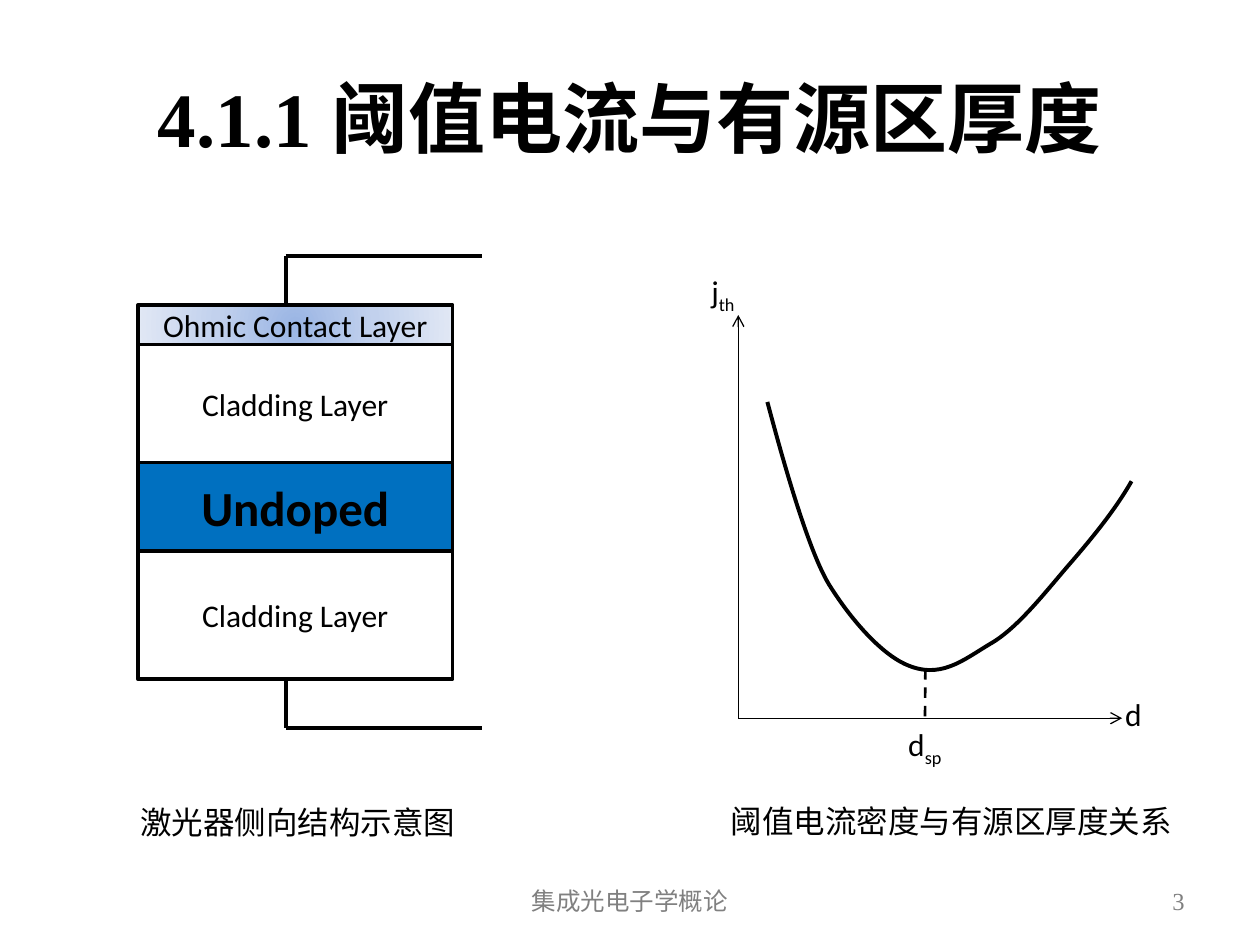
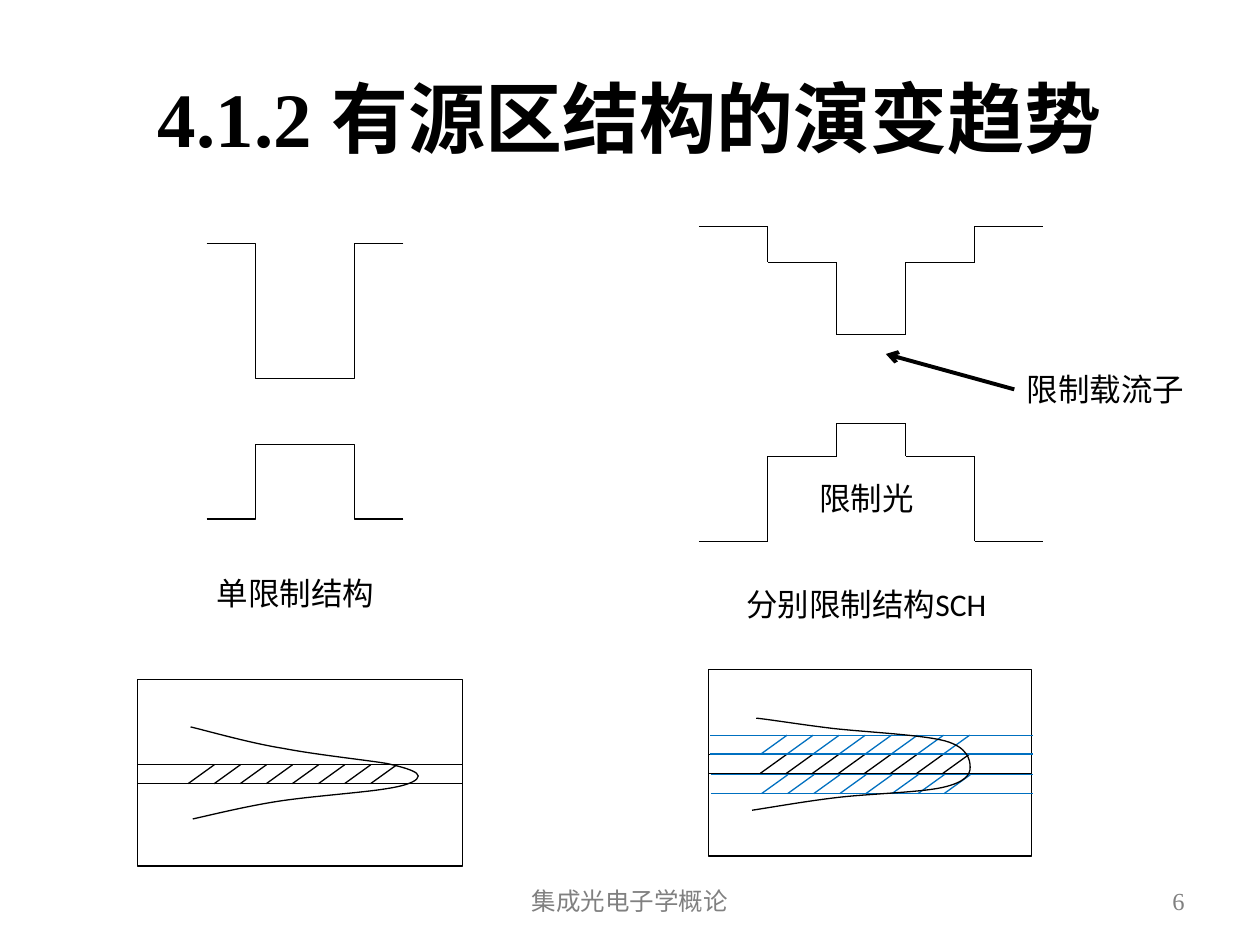
"""Build two slides on laser threshold current and active-region structure."""
from dataclasses import dataclass

from lxml import etree
from pptx import Presentation
from pptx.dml.color import RGBColor
from pptx.enum.dml import MSO_LINE
from pptx.enum.shapes import MSO_CONNECTOR, MSO_SHAPE
from pptx.enum.text import MSO_ANCHOR, PP_ALIGN
from pptx.oxml import parse_xml
from pptx.oxml.ns import nsdecls, qn
from pptx.util import Pt

LEFT, CENTER, RIGHT = PP_ALIGN.LEFT, PP_ALIGN.CENTER, PP_ALIGN.RIGHT
TOP, MIDDLE = MSO_ANCHOR.TOP, MSO_ANCHOR.MIDDLE
STRAIGHT, ELBOW = MSO_CONNECTOR.STRAIGHT, MSO_CONNECTOR.ELBOW
RECT, DASH = MSO_SHAPE.RECTANGLE, MSO_LINE.DASH


@dataclass(frozen=True)
class Theme:
    ink: RGBColor = RGBColor(0, 0, 0)
    blue: RGBColor = RGBColor(0x00, 0x70, 0xC0)
    gray: RGBColor = RGBColor(0x80, 0x80, 0x80)
    glow: tuple = ((0, "9AB5E4"), (50, "C2D1ED"), (100, "E1E8F5"))
    sans: str = "Calibri"
    serif: str = "Times New Roman"
    title: int = 44
    strong: int = 28
    body: int = 18
    footer: int = 14
    thin: float = 0.75
    dashed: float = 1.5
    frame: float = 2
    thick: float = 2.25


T = Theme()


def write(sp, runs, align=LEFT, anchor=TOP, size=T.body, color=T.ink, font=T.sans, bold=False):
    tf = sp.text_frame
    tf.word_wrap = True
    tf.vertical_anchor = anchor
    p = tf.paragraphs[0]
    p.alignment = align
    for text, attrs in runs:
        r = p.add_run()
        r.text = text
        r.font.size, r.font.name, r.font.bold = Pt(size), font, bold
        r.font.color.rgb = color
        for key, value in attrs.items():
            r._r.get_or_add_rPr().set(key, value)


def connect(s, x1, y1, x2, y2, color=T.ink, width=T.thin, kind=STRAIGHT, dash=None, arrow=False):
    c = s.shapes.add_connector(kind, Pt(x1), Pt(y1), Pt(x2), Pt(y2))
    c.line.color.rgb = color
    c.line.width = Pt(width)
    if dash:
        c.line.dash_style = dash
    spPr = c._element.spPr
    if arrow:
        etree.SubElement(spPr.find(qn("a:ln")), qn("a:tailEnd"), type="arrow")
    etree.SubElement(spPr, qn("a:effectLst"))
    return c


prs = Presentation()
prs.slide_width, prs.slide_height = Pt(720), Pt(540)

slides = []
for number, heading in (
    ("3", "4.1.1 阈值电流与有源区厚度"),
    ("6", "4.1.2 有源区结构的演变趋势"),
):
    s = prs.slides.add_slide(prs.slide_layouts[6])
    slides.append(s)
    title = s.shapes.add_textbox(Pt(36), Pt(21.6), Pt(648), Pt(90))
    write(title, [(heading, {})], CENTER, MIDDLE, T.title, font=T.serif, bold=True)
    footer = s.shapes.add_textbox(Pt(246), Pt(500.5), Pt(228), Pt(28.75))
    write(footer, [("集成光电子学概论", {})], CENTER, MIDDLE, T.footer, T.gray)
    page = s.shapes.add_textbox(Pt(516), Pt(500.5), Pt(168), Pt(28.75))
    write(page, [(number, {})], RIGHT, MIDDLE, T.footer, T.gray, T.serif)
threshold, evolution = slides

subscript = {"baseline": "-25000"}
for s, x, y, w, align, runs in (
    (threshold, 399.4, 151.9, 39.6, LEFT, [("j", {}), ("th", subscript)]),
    (threshold, 635.8, 393.8, 39.6, LEFT, [("d", {})]),
    (threshold, 511.9, 410.6, 39.6, LEFT, [("d", {}), ("sp", subscript)]),
    (threshold, 73.2, 455.4, 208, LEFT, [("激光器侧向结构示意图", {})]),
    (threshold, 410.4, 454.5, 292.3, LEFT, [("阈值电流密度与有源区厚度关系", {})]),
    (evolution, 45, 324.7, 247.7, CENTER, [("单限制结构", {})]),
    (evolution, 371.2, 330.8, 247.7, CENTER, [("分别限制结构SCH", {})]),
    (evolution, 461.2, 270, 118, LEFT, [("限制光", {})]),
    (evolution, 579.6, 208, 118, LEFT, [("限制载流子", {})]),
):
    label = s.shapes.add_textbox(Pt(x), Pt(y), Pt(w), Pt(29))
    write(label, runs, align)
carrier_label = label

y = 174.4
for name, h, size, fill in (
    ("Ohmic Contact Layer", 22.5, T.body, "glow"),
    ("Cladding Layer", 67.5, T.body, None),
    ("Undoped", 50.5, T.strong, T.blue),
    ("Cladding Layer", 73.2, T.body, None),
):
    sp = threshold.shapes.add_shape(RECT, Pt(78.75), Pt(y), Pt(180), Pt(h))
    sp.shadow.inherit = False
    if fill == "glow":
        stops = "".join(f'<a:gs pos="{pos * 1000}"><a:srgbClr val="{rgb}"/></a:gs>'
                        for pos, rgb in T.glow)
        sp._element.spPr.insert(2, parse_xml(
            f'<a:gradFill {nsdecls("a")} rotWithShape="1"><a:gsLst>{stops}</a:gsLst>'
            '<a:path path="circle"><a:fillToRect l="50000" t="50000" r="50000" b="50000"/>'
            '</a:path></a:gradFill>'))
    elif fill:
        sp.fill.solid()
        sp.fill.fore_color.rgb = fill
    else:
        sp.fill.background()
    sp.line.color.rgb = T.ink
    sp.line.width = Pt(T.frame)
    write(sp, [(name, {})], CENTER, MIDDLE, size, bold=size == T.strong)
    y += h

for y_layer, y_lead in ((174.4, 146.2), (388.1, 416.2)):
    connect(threshold, 163.2, y_layer, 163.2, y_lead, width=T.thick)
    connect(threshold, 163.2, y_lead, 275.6, y_lead, width=T.thick)

connect(threshold, 421.9, 410.4, 641.2, 410.4, arrow=True)
connect(threshold, 421.9, 410.4, 421.9, 180, arrow=True)
connect(threshold, 528.8, 382.3, 528.6, 410.4, width=T.dashed, dash=DASH)

for y_outer, y_well in ((139, 216.4), (296.6, 254.2)):
    for x_outer in (118.1, 230.6):
        connect(evolution, x_outer, y_outer, 174.35, y_well, kind=ELBOW)

step = 39.37
for levels in ((129.4, 150, 191.2, 150, 129.4), (309.4, 260.8, 241.9, 260.8, 309.4)):
    for i, level in enumerate(levels):
        x = 399.4 + i * step
        connect(evolution, x, level, x + step, level)
        if i:
            connect(evolution, x, levels[i - 1], x, level)

arrow = connect(evolution, 579.6, 222.5, 506.2, 202.3, width=T.thick, arrow=True)
arrow.begin_connect(carrier_label, 1)

for x, y, w in ((78.5, 388.3, 185.8), (405, 382.5, 184.5)):
    sp = evolution.shapes.add_shape(RECT, Pt(x), Pt(y), Pt(w), Pt(106.6))
    sp.shadow.inherit = False
    sp.fill.background()
    sp.line.color.rgb = T.ink
    sp.line.width = Pt(T.thin)

band, pitch = 10.8, 14.9
for x, y, w, color in (
    (78.5, 437, 185.8, T.ink),
    (405.4, 431.2, 184.3, T.ink),
    (406.2, 442.7, 184.2, T.blue),
    (405.8, 420.1, 184.4, T.blue),
):
    for edge in (y, y + band):
        connect(evolution, x, edge, x + w, edge, color)
    for i in range(8):
        x_hatch = x + 29 + i * pitch
        connect(evolution, x_hatch, y + band, x_hatch + 15, y, color)

for s, width, knots in (
    (threshold, T.thick, (
        (438.5, 229.7), (442.8, 245.5), (460.1, 311.8), (473.8, 334.1), (488.2, 357.1),
        (504.7, 373.7), (517, 379.4), (537.1, 388.8), (550.1, 377.3), (565.9, 367.9),
        (581, 359.3), (596.2, 339.8), (609.8, 324), (623.5, 308.2), (637.2, 291.6),
        (646.6, 275))),
    (evolution, T.thin, (
        (108.9, 415.4), (118.1, 417.6), (143.3, 424.8), (162, 427.7), (180.7, 431.3),
        (208.1, 434.2), (221, 436.3), (234, 439.2), (239, 441.4), (239, 443.5),
        (239, 445.7), (234.7, 448.6), (221, 450.7), (208.1, 452.9), (177.8, 455),
        (159.1, 457.9), (140.4, 460.8), (120.2, 465.8), (110.2, 468))),
    (evolution, T.thin, (
        (432.2, 410.4), (439.2, 411.1), (457.2, 414), (475.2, 416.2), (493.2, 418.3),
        (526.3, 419.8), (540, 423.4), (553, 427), (554.4, 434.2), (554.4, 438.5),
        (554.4, 442.8), (551.5, 447.1), (538.6, 450), (525.6, 452.9), (496.1, 453.6),
        (478.1, 455.8), (460.1, 457.9), (439.9, 461.5), (429.8, 463))),
):
    start, *rest = [(Pt(x), Pt(y)) for x, y in knots]
    builder = s.shapes.build_freeform(*start)
    builder.add_line_segments(rest, close=False)
    curve = builder.convert_to_shape()
    outline = next(curve._element.iter(qn("a:path")))
    corners = outline.findall(qn("a:lnTo"))
    for k in range(0, len(corners), 3):
        bezier = etree.SubElement(outline, qn("a:cubicBezTo"))
        for corner in corners[k:k + 3]:
            bezier.append(corner[0])
            outline.remove(corner)
    curve.shadow.inherit = False
    curve.fill.background()
    curve.line.color.rgb = T.ink
    curve.line.width = Pt(width)

prs.save("out.pptx")
